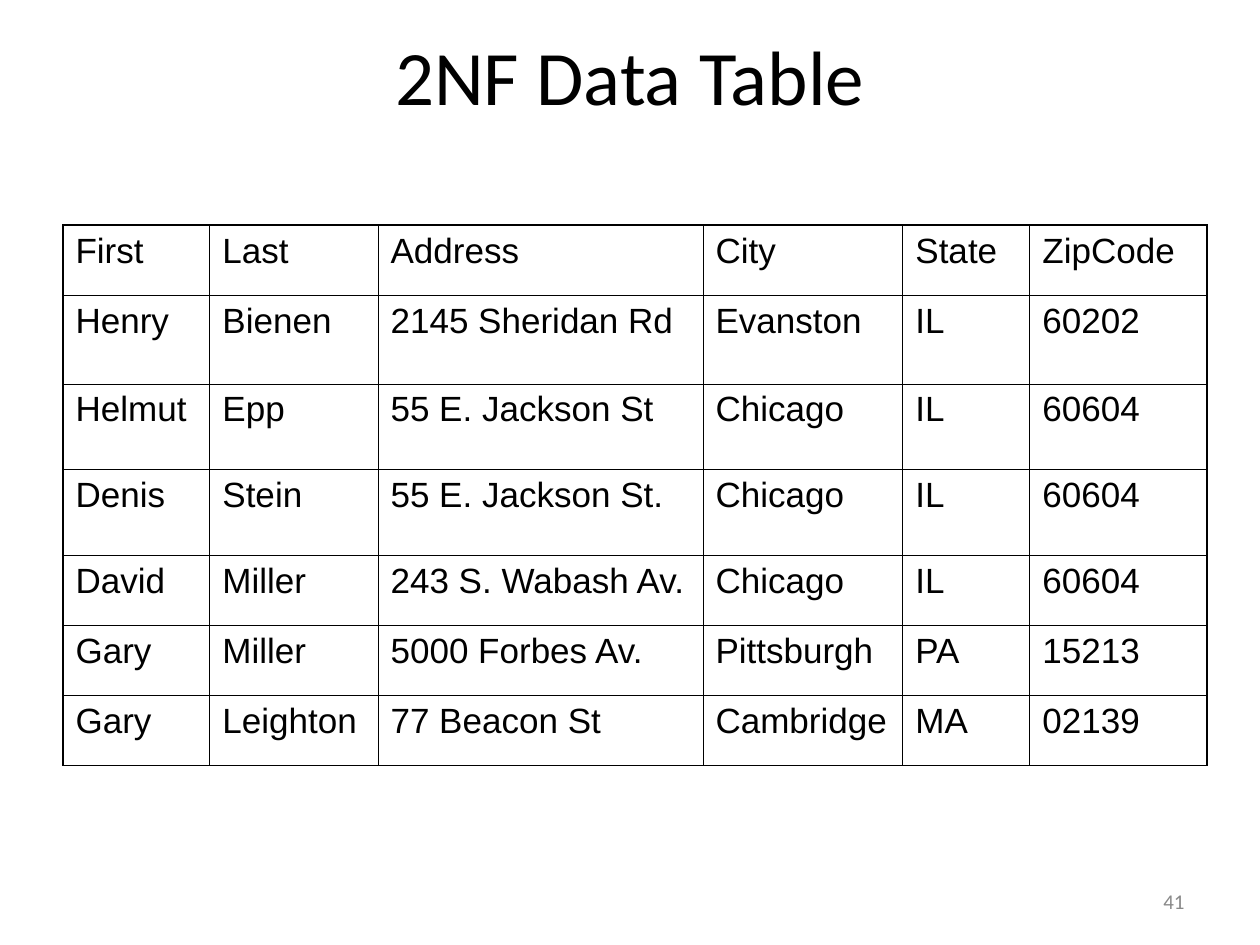
import pptx
import pptx.dml.color
import pptx.enum.text
import pptx.oxml
import pptx.oxml.ns
import pptx.util

Cm = pptx.util.Cm
Pt = pptx.util.Pt
Align = pptx.enum.text.PP_ALIGN

COLORS = {"text": "000000", "border": "000000", "number": "898989"}
INNER_BORDER, OUTER_BORDER = Pt(0.45), Pt(1.08)

COLUMN_WIDTHS = [2.96, 3.39, 6.55, 4.03, 2.56, 3.57]
ROW_HEIGHTS = [1.41, 1.79, 1.73, 1.73, 1.41, 1.41, 1.41]
PEOPLE = [
    ["First", "Last", "Address", "City", "State", "ZipCode"],
    ["Henry", "Bienen", "2145 Sheridan Rd", "Evanston", "IL", "60202"],
    ["Helmut", "Epp", "55 E. Jackson St", "Chicago", "IL", "60604"],
    ["Denis", "Stein", "55 E. Jackson St.", "Chicago", "IL", "60604"],
    ["David", "Miller", "243 S. Wabash Av.", "Chicago", "IL", "60604"],
    ["Gary", "Miller", "5000 Forbes Av.", "Pittsburgh", "PA", "15213"],
    ["Gary", "Leighton", "77 Beacon St", "Cambridge", "MA", "02139"],
]


def write_text(text_frame, text, font_name, size, color):
    text_frame.text = text
    font = text_frame.paragraphs[0].runs[0].font
    font.name = font_name
    font.size = Pt(size)
    font.color.rgb = pptx.dml.color.RGBColor.from_string(COLORS[color])


def add_label(slide, box, text, size, color, alignment):
    """Add a vertically centred line of text filling the box."""
    text_frame = slide.shapes.add_textbox(*box).text_frame
    text_frame.word_wrap = True
    text_frame.vertical_anchor = pptx.enum.text.MSO_ANCHOR.MIDDLE
    write_text(text_frame, text, "Calibri", size, color)
    text_frame.paragraphs[0].alignment = alignment


def set_borders(cell, widths):
    """Draw the cell edges; widths go left, right, top, bottom."""
    properties = cell._tc.get_or_add_tcPr()
    for side, width in zip("LRTB", widths):
        properties.append(pptx.oxml.parse_xml(
            f'<a:ln{side} {pptx.oxml.ns.nsdecls("a")} w="{int(width)}"><a:solidFill>'
            f'<a:srgbClr val="{COLORS["border"]}"/></a:solidFill></a:ln{side}>'))


def add_people_table(slide, left, top):
    row_count, column_count = len(PEOPLE), len(COLUMN_WIDTHS)
    table = slide.shapes.add_table(
        row_count, column_count, left, top,
        Cm(sum(COLUMN_WIDTHS)), Cm(sum(ROW_HEIGHTS))).table
    table.first_row = False
    table.horz_banding = False
    for column, width in zip(table.columns, COLUMN_WIDTHS):
        column.width = Cm(width)
    for row, height in zip(table.rows, ROW_HEIGHTS):
        row.height = Cm(height)

    for row_index, person in enumerate(PEOPLE):
        for column_index, value in enumerate(person):
            cell = table.cell(row_index, column_index)
            write_text(cell.text_frame, value, "Arial", 20, "text")
            on_outside = [column_index == 0, column_index == column_count - 1,
                          row_index == 0, row_index == row_count - 1]
            set_borders(cell, [OUTER_BORDER if outside else INNER_BORDER
                               for outside in on_outside])
            cell.fill.background()


def main():
    presentation = pptx.Presentation()
    presentation.slide_width = Cm(25.4)
    presentation.slide_height = Cm(19.05)
    slide = presentation.slides.add_slide(presentation.slide_layouts[6])

    title_box = (Cm(0), Cm(0.25), presentation.slide_width, Cm(2.5))
    add_label(slide, title_box, "2NF Data Table", 44, "text", Align.CENTER)
    add_people_table(slide, Cm(1.27), Cm(4.54))
    number_box = (Cm(18.2), Cm(17.65), Cm(5.93), Cm(1.02))
    add_label(slide, number_box, "41", 12, "number", Align.RIGHT)

    presentation.save("out.pptx")


if __name__ == "__main__":
    main()
